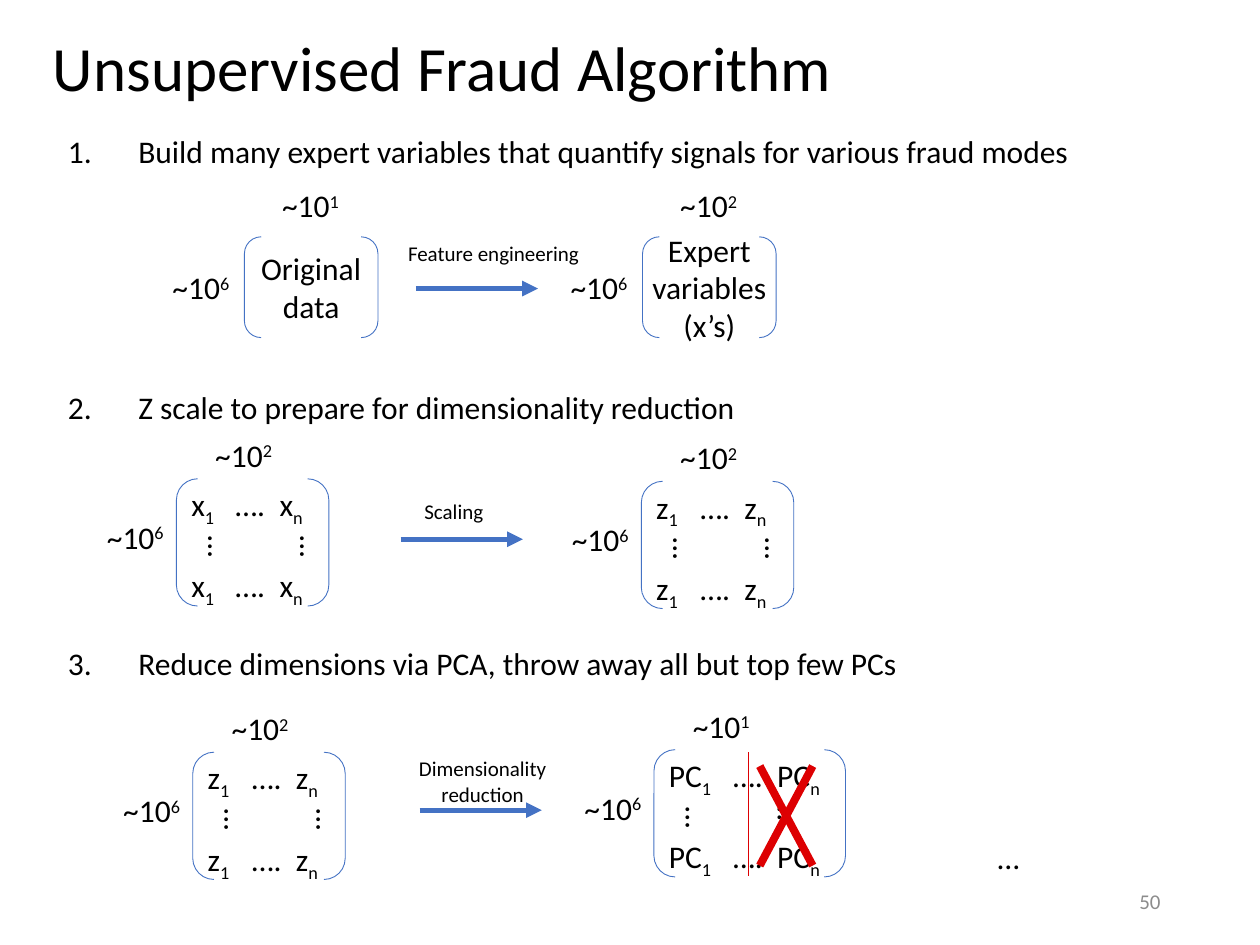
"""Build the slide that outlines the unsupervised fraud algorithm in three steps."""
from lxml import etree
from pptx import Presentation
from pptx.dml.color import RGBColor
from pptx.enum.shapes import MSO_CONNECTOR, MSO_SHAPE
from pptx.enum.text import MSO_ANCHOR, MSO_AUTO_SIZE, PP_ALIGN
from pptx.oxml.ns import qn
from pptx.util import Inches, Pt

LEFT, CENTER, RIGHT = PP_ALIGN.LEFT, PP_ALIGN.CENTER, PP_ALIGN.RIGHT
TOP, MIDDLE = MSO_ANCHOR.TOP, MSO_ANCHOR.MIDDLE
NO_AUTOFIT = MSO_AUTO_SIZE.NONE
BRACKETS = MSO_SHAPE.DOUBLE_BRACKET
STRAIGHT = MSO_CONNECTOR.STRAIGHT

BLACK = RGBColor(0x00, 0x00, 0x00)
GRAY = RGBColor(0x8C, 0x8C, 0x8C)
BLUE = RGBColor(0x44, 0x72, 0xC4)
RED = RGBColor(0xDD, 0x00, 0x02)
FONT = "Calibri"
SUPERSCRIPT, SUBSCRIPT = 30, -25

TITLE = "Unsupervised Fraud Algorithm"
STEPS = [
    "Build many expert variables that quantify signals for various fraud modes",
    "Z scale to prepare for dimensionality reduction",
    "Reduce dimensions via PCA, throw away all but top few PCs",
]
DATA_SETS = [
    (1.94, 1.88, ["Original", "data"], "1"),
    (5.10, 1.88, ["Expert", "variables", "(x’s)"], "2"),
]
MATRICES = [
    (1.40, 3.80, 1.21, "x", "2", 0.35),
    (5.09, 3.82, 1.21, "z", "2", 0.35),
    (1.53, 5.97, 1.21, "z", "2", 0.35),
    (5.19, 5.95, 1.52, "PC", "1", 0.51),
]
ARROWS = [(3.30, 2.29), (3.18, 4.28), (3.33, 6.43)]
ARROW_LABELS = [
    (3.14, 1.86, 1.57, 0.30, ["Feature engineering"], LEFT),
    (3.27, 3.91, 0.67, 0.30, ["Scaling"], LEFT),
    (3.22, 5.95, 1.22, 0.50, ["Dimensionality", "reduction"], CENTER),
]
DISCARD_LINES = [
    ((6.45, 6.08), (6.03, 6.87), 4.5),
    ((6.03, 6.08), (6.45, 6.87), 4.5),
    ((5.94, 5.97), (5.94, 6.95), 1),
]

ARROW_LENGTH = 0.97
DATA_SIZE = (1.06, 0.80)
MATRIX_HEIGHT = 1.01
COLUMN_GAP = 0.35
STEP_INDENT = 0.56


def add_paragraph_element(paragraph, tag, **attributes):
    return etree.SubElement(paragraph._p.get_or_add_pPr(), qn(tag), **attributes)


def write_text(shape, paragraphs, size=18, color=BLACK, align=LEFT, anchor=TOP,
               wrap=False, gap=0, line_spacing=None, numbered=False, tabs=()):
    frame = shape.text_frame
    frame.auto_size = NO_AUTOFIT
    frame.word_wrap = wrap
    frame.vertical_anchor = anchor
    for index, content in enumerate(paragraphs):
        paragraph = frame.add_paragraph() if index else frame.paragraphs[0]
        if numbered:
            indent = Inches(STEP_INDENT)
            paragraph._p.get_or_add_pPr().set("marL", str(indent))
            paragraph._p.get_or_add_pPr().set("indent", str(-indent))
            add_paragraph_element(paragraph, "a:buAutoNum", type="arabicPeriod")
        if tabs:
            stops = add_paragraph_element(paragraph, "a:tabLst")
            for position in tabs:
                etree.SubElement(stops, qn("a:tab"), pos=str(Inches(position)), algn="l")
        paragraph.alignment = align
        paragraph.space_before = Pt(gap if index else 0)
        if line_spacing:
            paragraph.line_spacing = line_spacing
        runs = [(content, 0)] if isinstance(content, str) else content
        for text, baseline in runs:
            run = paragraph.add_run()
            run.text = text
            run.font.name = FONT
            run.font.size = Pt(size)
            run.font.color.rgb = color
            if baseline:
                run._r.get_or_add_rPr().set("baseline", str(baseline * 1000))


def add_label(slide, left, top, width, height, paragraphs, rotation=0, **text_format):
    box = slide.shapes.add_textbox(Inches(left), Inches(top), Inches(width), Inches(height))
    box.rotation = rotation
    write_text(box, paragraphs, **text_format)


def add_power(slide, left, top, exponent):
    add_label(slide, left, top, 0.67, 0.40, [[("~10", 0), (exponent, SUPERSCRIPT)]])


def add_ellipsis(slide, left, top, rotation=0):
    add_label(slide, left, top, 0.38, 0.40, ["…"], rotation=rotation)


def add_brackets(slide, left, top, width, height):
    brackets = slide.shapes.add_shape(
        BRACKETS, Inches(left), Inches(top), Inches(width), Inches(height))
    brackets.shadow.inherit = False
    brackets.fill.background()
    brackets.line.color.rgb = BLUE
    brackets.line.width = Pt(0.5)


def add_line(slide, start, end, color, width, arrow=False):
    line = slide.shapes.add_connector(STRAIGHT, *(Inches(v) for v in (*start, *end)))
    line.line.color.rgb = color
    line.line.width = Pt(width)
    if arrow:
        etree.SubElement(line.line._get_or_add_ln(), qn("a:tailEnd"), type="triangle")
    etree.SubElement(line._element.spPr, qn("a:effectLst"))


def add_data_set(slide, left, top, words, column_exponent):
    add_label(slide, left, top, *DATA_SIZE, words, align=CENTER, anchor=MIDDLE)
    add_brackets(slide, left, top, *DATA_SIZE)
    add_power(slide, left - 0.67, top + 0.20, "6")
    add_power(slide, left + 0.20, top - 0.45, column_exponent)


def add_matrix(slide, left, top, width, symbol, column_exponent, first_tab):
    row = [(symbol, 0), ("1", SUBSCRIPT), ("\t….\t" + symbol, 0), ("n", SUBSCRIPT)]
    add_label(slide, left + 0.02, top, width, MATRIX_HEIGHT, [row, row], wrap=True,
              gap=22, tabs=(first_tab, first_tab + COLUMN_GAP))
    add_brackets(slide, left, top, width, MATRIX_HEIGHT)
    for offset in (-0.01, 0.72):
        add_ellipsis(slide, left + offset, top + 0.33, rotation=270)
    add_power(slide, left - 0.65, top + 0.26, "6")
    add_power(slide, left + 0.21, top - 0.39, column_exponent)


def main():
    deck = Presentation()
    deck.slide_width, deck.slide_height = Inches(10), Inches(7.5)
    slide = deck.slides.add_slide(deck.slide_layouts[5])

    title = slide.shapes.title
    title.left, title.top = Inches(0.32), Inches(0.39)
    title.width, title.height = Inches(9.41), Inches(0.35)
    write_text(title, [TITLE], size=36, anchor=MIDDLE, wrap=True, line_spacing=0.9)

    add_label(slide, 0.44, 1.03, 8.87, 4.70, STEPS, wrap=True, gap=127,
              line_spacing=0.9, numbered=True)
    add_label(slide, 7.06, 6.95, 2.25, 0.40, ["50"], size=12, color=GRAY,
              align=RIGHT, anchor=MIDDLE, wrap=True)

    for data_set in DATA_SETS:
        add_data_set(slide, *data_set)
    for matrix in MATRICES:
        add_matrix(slide, *matrix)
    add_ellipsis(slide, 7.82, 6.60)

    for left, top in ARROWS:
        add_line(slide, (left, top), (left + ARROW_LENGTH, top), BLUE, 3, arrow=True)
    for start, end, width in DISCARD_LINES:
        add_line(slide, start, end, RED, width)
    for *place, words, align in ARROW_LABELS:
        add_label(slide, *place, words, size=12, align=align)

    deck.save("out.pptx")


if __name__ == "__main__":
    main()
